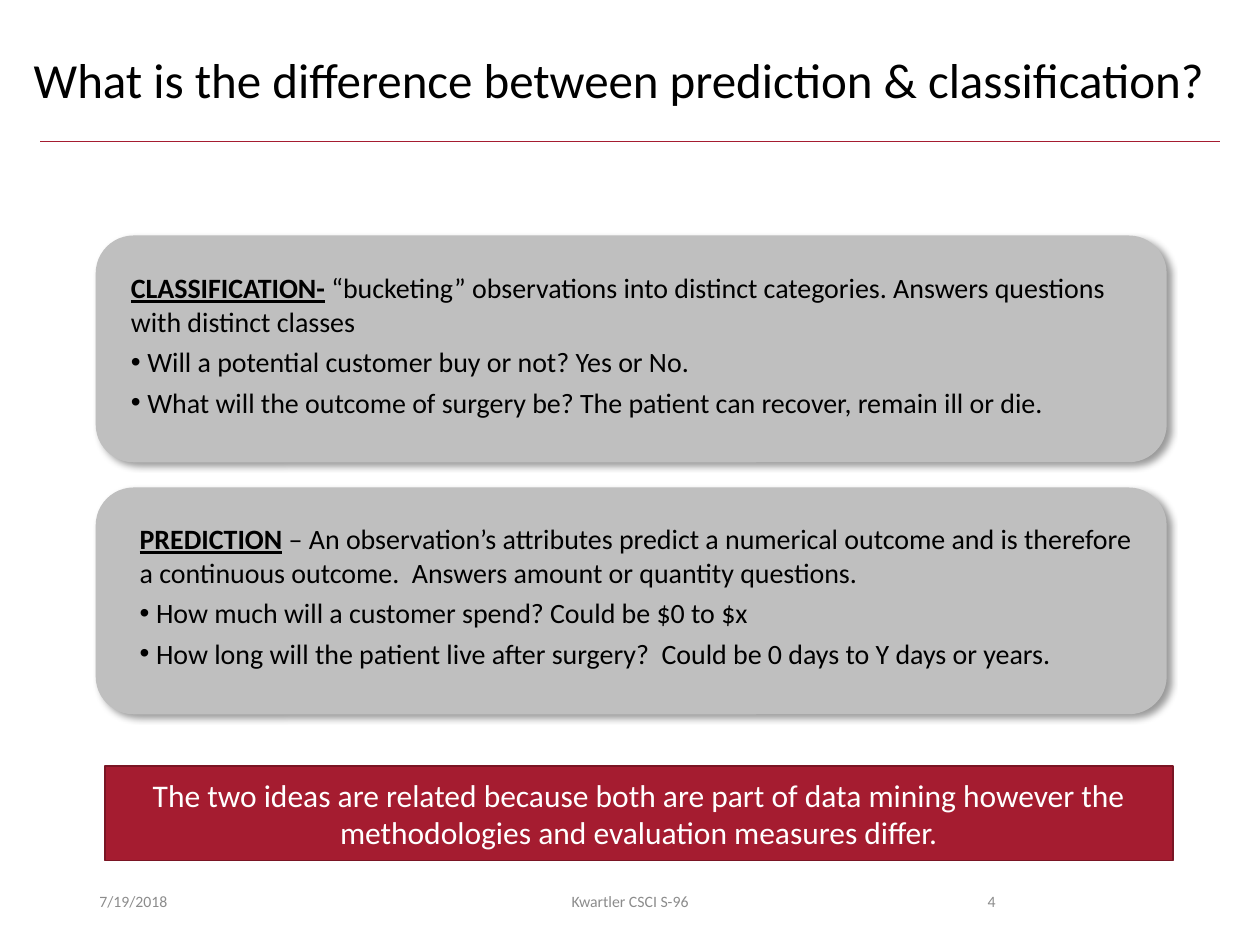
from dataclasses import dataclass

import pptx
import pptx.dml.color
import pptx.enum.shapes
import pptx.enum.text
import pptx.oxml
import pptx.oxml.ns
import pptx.util
from lxml import etree

Pt = pptx.util.Pt
Align = pptx.enum.text.PP_ALIGN
Anchor = pptx.enum.text.MSO_ANCHOR
Kind = pptx.enum.shapes.MSO_SHAPE
qn = pptx.oxml.ns.qn

FONT = "Calibri"
COLORS = {
    "black": "000000",
    "white": "FFFFFF",
    "card": "BFBFBF",
    "red": "A51C30",
    "edge": "7A1524",
    "foot": "8C8C8C",
}
INDENT = 9.4


@dataclass
class Box:
    left: float
    top: float
    width: float
    height: float

    def points(self) -> list:
        return [Pt(n) for n in (self.left, self.top, self.width, self.height)]


@dataclass
class Card:
    box: Box
    term: str
    sense: str
    points: list[str]


@dataclass
class Note:
    box: Box
    text: str
    align: Align


CARDS = [
    Card(
        Box(67.7, 151.2, 584.6, 97.2),
        "CLASSIFICATION-",
        " “bucketing” observations into distinct categories. "
        "Answers questions with distinct classes",
        ["Will a potential customer buy or not? Yes or No.",
         "What will the outcome of surgery be? The patient can recover, remain ill or die."],
    ),
    Card(
        Box(72.7, 294.5, 584.6, 98.6),
        "PREDICTION",
        " – An observation’s attributes predict a numerical outcome and is therefore "
        "a continuous outcome.  Answers amount or quantity questions.",
        ["How much will a customer spend? Could be $0 to $x",
         "How long will the patient live after surgery?  Could be 0 days to Y days or years."],
    ),
]
NOTES = [
    Note(Box(49.7, 500.4, 162, 28.8), "7/19/2018", Align.LEFT),
    Note(Box(238.3, 500.4, 243.4, 28.8), "Kwartler CSCI S-96", Align.CENTER),
    Note(Box(508.3, 500.4, 67.7, 28.8), "4", Align.RIGHT),
]


def color(name: str) -> pptx.dml.color.RGBColor:
    return pptx.dml.color.RGBColor.from_string(COLORS[name])


def style(para, size: float, ink: str) -> None:
    for run in para.runs:
        run.font.name = FONT
        run.font.size = Pt(size)
        run.font.color.rgb = color(ink)


def add_text(slide, box: Box, text: str, size: float, ink: str,
             align=Align.LEFT, anchor=Anchor.TOP):
    frame = slide.shapes.add_textbox(*box.points()).text_frame
    frame.word_wrap = True
    frame.vertical_anchor = anchor
    frame.text = text
    para = frame.paragraphs[0]
    para.alignment = align
    style(para, size, ink)
    return frame


def add_panel(slide, kind: Kind, box: Box, fill: str):
    panel = slide.shapes.add_shape(kind, *box.points())
    panel.shadow.inherit = False
    panel.fill.solid()
    panel.fill.fore_color.rgb = color(fill)
    panel.line.fill.background()
    return panel


def add_shadow(panel) -> None:
    """Give the panel a soft shadow to its lower right."""
    effects = panel._element.spPr.find(qn("a:effectLst"))
    shade = etree.SubElement(
        effects, qn("a:outerShdw"), blurRad=str(Pt(4)), dist=str(Pt(3)),
        dir=str(45 * 60000), algn="tl", rotWithShape="0")
    tint = etree.SubElement(shade, qn("a:srgbClr"), val=COLORS["black"])
    etree.SubElement(tint, qn("a:alpha"), val="40000")


def add_bullet(para) -> None:
    para.space_before = Pt(4)
    props = para._p.get_or_add_pPr()
    props.set("marL", str(Pt(INDENT)))
    props.set("indent", str(-Pt(INDENT)))
    etree.SubElement(props, qn("a:buFont"), typeface="Arial")
    etree.SubElement(props, qn("a:buChar"), char="•")


def add_card(slide, card: Card) -> None:
    frame = add_text(slide, card.box, card.term, 16, "black")
    head = frame.paragraphs[0]
    head.runs[0].font.bold = True
    head.runs[0].font.underline = True
    head.add_run().text = card.sense
    style(head, 16, "black")
    for point in card.points:
        para = frame.add_paragraph()
        para.text = point
        style(para, 16, "black")
        add_bullet(para)


def add_rule(slide) -> None:
    rule = slide.shapes.add_connector(
        pptx.enum.shapes.MSO_CONNECTOR.STRAIGHT, Pt(23), Pt(80.6), Pt(697), Pt(80.6))
    rule.line.color.rgb = color("red")
    rule.line.width = Pt(0.5)
    etree.SubElement(rule._element.spPr, qn("a:effectLst"))


def add_banner(slide) -> None:
    banner = add_panel(slide, Kind.RECTANGLE, Box(59.8, 437.8, 610.6, 54), "red")
    banner.line.color.rgb = color("edge")
    banner.line.width = Pt(1)
    frame = banner.text_frame
    frame.word_wrap = True
    frame.vertical_anchor = Anchor.MIDDLE
    frame.text = ("The two ideas are related because both are part of data mining "
                  "however the methodologies and evaluation measures differ.")
    frame.paragraphs[0].alignment = Align.CENTER
    style(frame.paragraphs[0], 18, "white")


def main() -> None:
    deck = pptx.Presentation()
    deck.slide_width, deck.slide_height = Pt(720), Pt(540)
    slide = deck.slides.add_slide(deck.slide_layouts[6])
    add_rule(slide)
    title = add_text(slide, Box(12.2, 28.8, 689.8, 46.8),
                     "What is the difference between prediction & classification?",
                     28, "black")
    title.paragraphs[0].line_spacing = 0.9
    for row, card in enumerate(CARDS):
        box = Box(54.7, 134.6 + 144 * row, 612, 129.6)
        add_shadow(add_panel(slide, Kind.ROUNDED_RECTANGLE, box, "card"))
        add_card(slide, card)
    add_banner(slide)
    for note in NOTES:
        add_text(slide, note.box, note.text, 9, "foot", note.align, Anchor.MIDDLE)
    deck.save("out.pptx")


if __name__ == "__main__":
    main()
